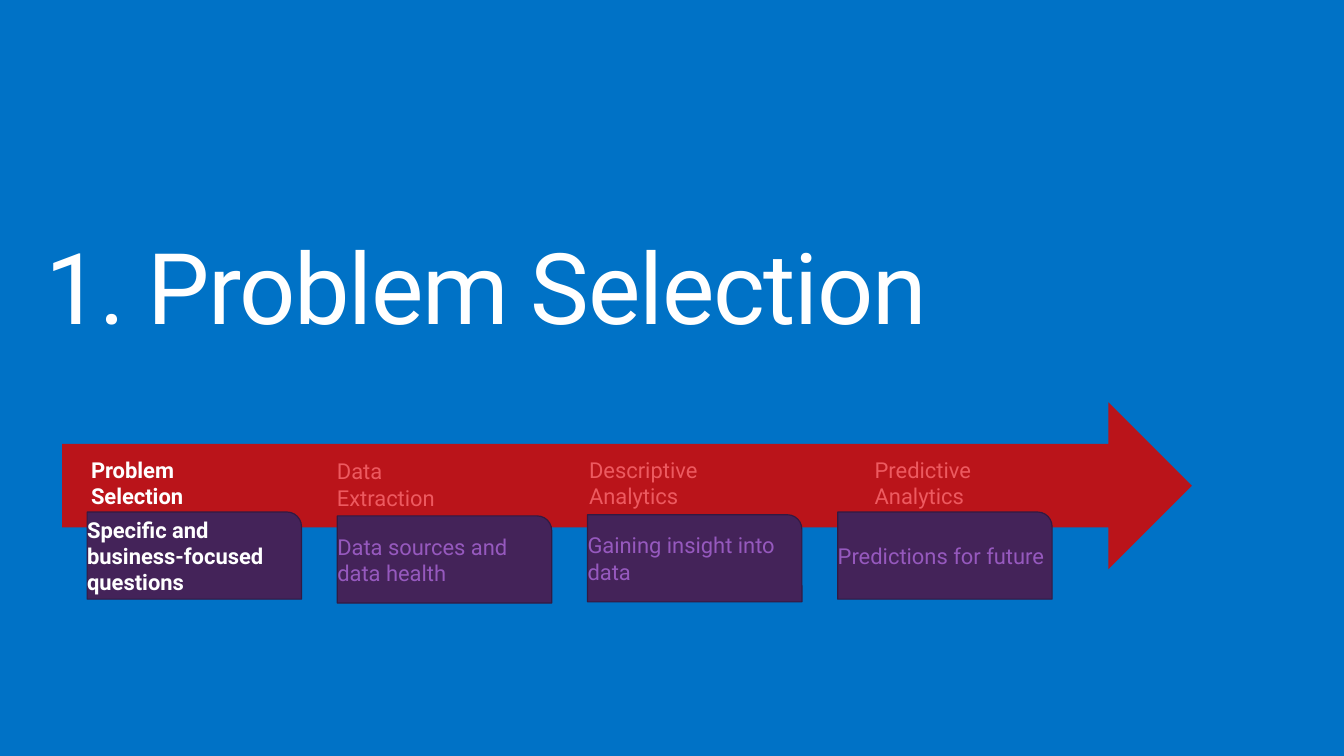
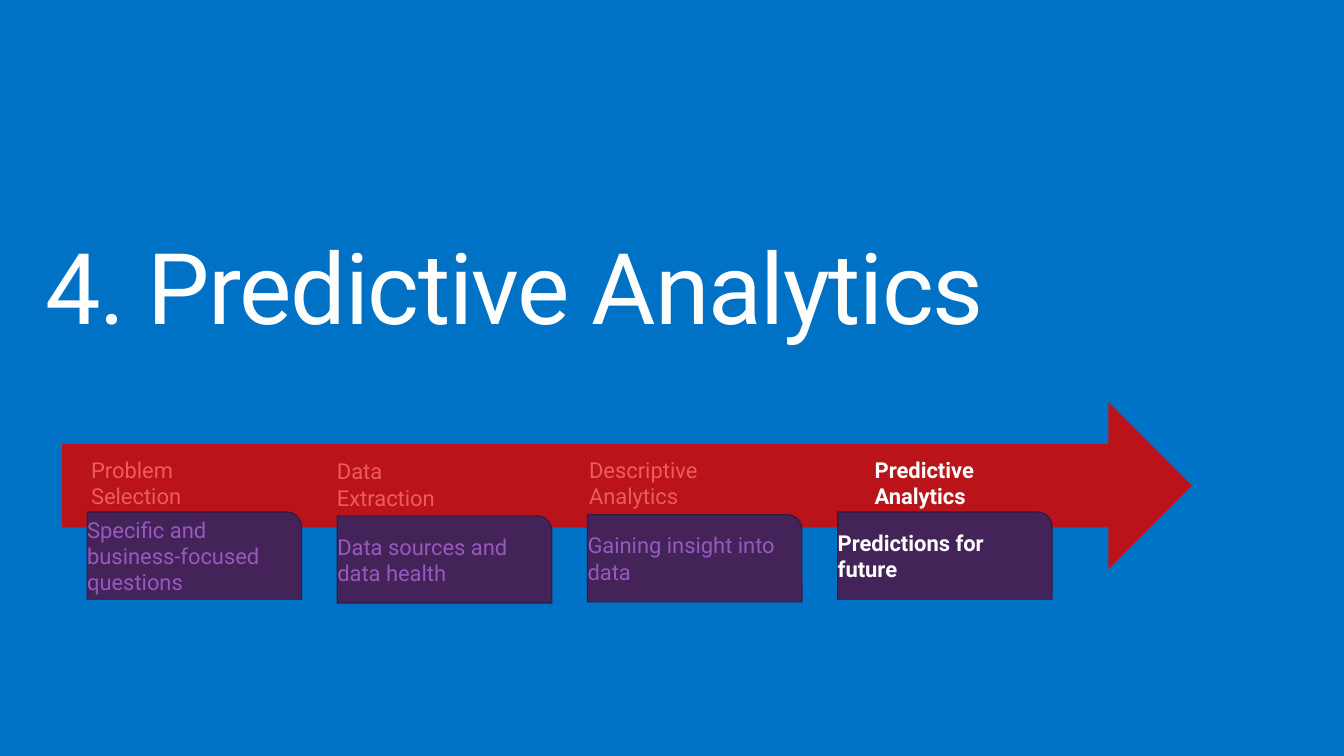
from dataclasses import dataclass

from pptx import Presentation
from pptx.dml.color import RGBColor
from pptx.enum.shapes import MSO_SHAPE
from pptx.enum.text import MSO_ANCHOR, MSO_AUTO_SIZE, PP_ALIGN
from pptx.util import Cm, Pt

ARROW = MSO_SHAPE.RIGHT_ARROW
RECTANGLE = MSO_SHAPE.RECTANGLE
ROUND_CORNER = MSO_SHAPE.ROUND_1_RECTANGLE
MIDDLE = MSO_ANCHOR.MIDDLE
LEFT = PP_ALIGN.LEFT
GROW = MSO_AUTO_SIZE.SHAPE_TO_FIT_TEXT

FONT = "Roboto"
BLUE = "0072C6"
RED = "BA141A"
PALE_RED = "ED5A60"
PURPLE = "442359"
DARK_PURPLE = "321A42"
PALE_PURPLE = "9659BE"
WHITE = "FFFFFF"

CARD_LEFT, CARD_PITCH = 2.24, 6.43


@dataclass
class Stage:
    label: str
    detail: str
    label_left: float
    label_top: float
    card_top: float


STAGES = [
    Stage("Problem\nSelection", "Specific and business-focused questions",
          2.34, 11.79, 13.16),
    Stage("Data Extraction", "Data sources and data health",
          8.66, 11.84, 13.26),
    Stage("Descriptive\nAnalytics", "Gaining insight into data",
          15.14, 11.79, 13.23),
    Stage("Predictive\nAnalytics", "Predictions for future",
          22.48, 11.79, 13.16),
]
SECTIONS = [("1. Problem Selection", 0), ("4. Predictive Analytics", 3)]


def rgb(hex_color):
    return RGBColor.from_string(hex_color)


def style(paragraph, size, color, bold=False):
    font = paragraph.font
    font.name, font.size, font.bold = FONT, Pt(size), bold
    font.color.rgb = rgb(color)


def set_margins(frame, side, end):
    frame.margin_left = frame.margin_right = Cm(side)
    frame.margin_top = frame.margin_bottom = Cm(end)


def add_title(slide, text):
    frame = slide.shapes.add_textbox(
        Cm(0.76), Cm(5.89), Cm(33.02), Cm(3.28)).text_frame
    frame.word_wrap = True
    frame.auto_size = GROW
    set_margins(frame, 0.41, 0.25)
    paragraph = frame.paragraphs[0]
    paragraph.line_spacing = 0.9
    run = paragraph.add_run()
    run.text = text
    run.font._element.set("spc", "-100")  # tracking in 1/100 pt
    style(paragraph, 72, WHITE)


def add_block(shapes, kind, left, top, width, height, fill, outline=None):
    block = shapes.add_shape(kind, Cm(left), Cm(top), Cm(width), Cm(height))
    block.shadow.inherit = False
    block.fill.solid()
    block.fill.fore_color.rgb = rgb(fill)
    if outline:
        block.line.color.rgb = rgb(outline)
        block.line.width = Pt(0.85)
    else:
        block.line.fill.background()
    return block


def write(block, text, color, active):
    """Fill a block with text, bold white when its stage is active."""
    frame = block.text_frame
    frame.word_wrap = True
    frame.vertical_anchor = MIDDLE
    set_margins(frame, 0, 0.13)
    frame.text = text
    for paragraph in frame.paragraphs:
        paragraph.alignment = LEFT
        style(paragraph, 16, WHITE if active else color, active)


def add_process(slide, active_index):
    shapes = slide.shapes.add_group_shape().shapes
    add_block(shapes, ARROW, 1.6, 10.34, 29.03, 4.29, RED)
    for index, stage in enumerate(STAGES):
        label = add_block(shapes, RECTANGLE, stage.label_left,
                          stage.label_top, 3.35, 1.22, RED)
        write(label, stage.label, PALE_RED, index == active_index)
    for index, stage in enumerate(STAGES):
        card = add_block(shapes, ROUND_CORNER, CARD_LEFT + index * CARD_PITCH,
                         stage.card_top, 5.51, 2.24, PURPLE, DARK_PURPLE)
        write(card, stage.detail, PALE_PURPLE, index == active_index)


def add_section(deck, title, active_index):
    slide = deck.slides.add_slide(deck.slide_layouts[6])
    background = slide.background.fill
    background.solid()
    background.fore_color.rgb = rgb(BLUE)
    add_title(slide, title)
    add_process(slide, active_index)


def main():
    deck = Presentation()
    deck.slide_width, deck.slide_height = Cm(34.54), Cm(19.43)
    for title, active_index in SECTIONS:
        add_section(deck, title, active_index)
    deck.save("out.pptx")


if __name__ == "__main__":
    main()
